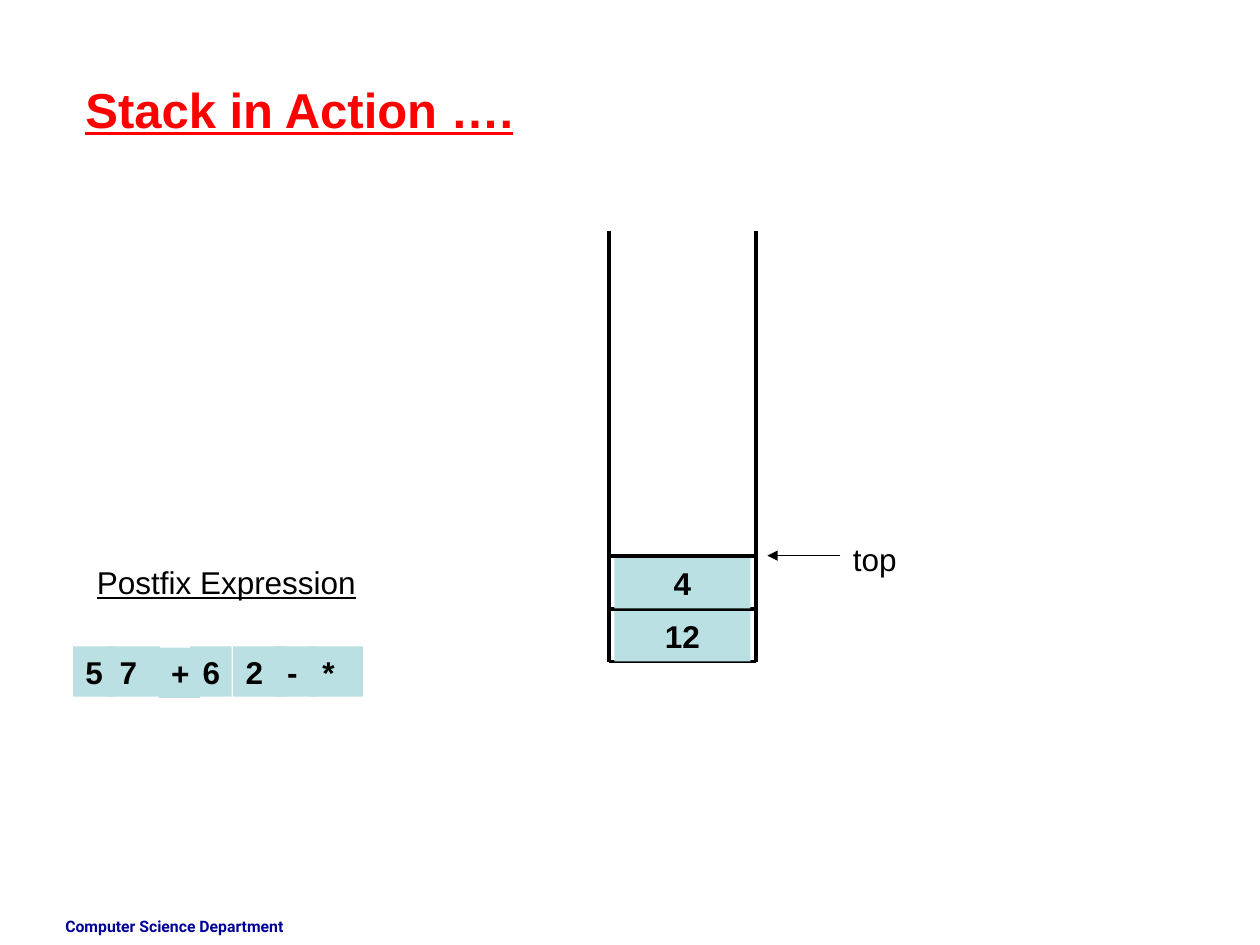
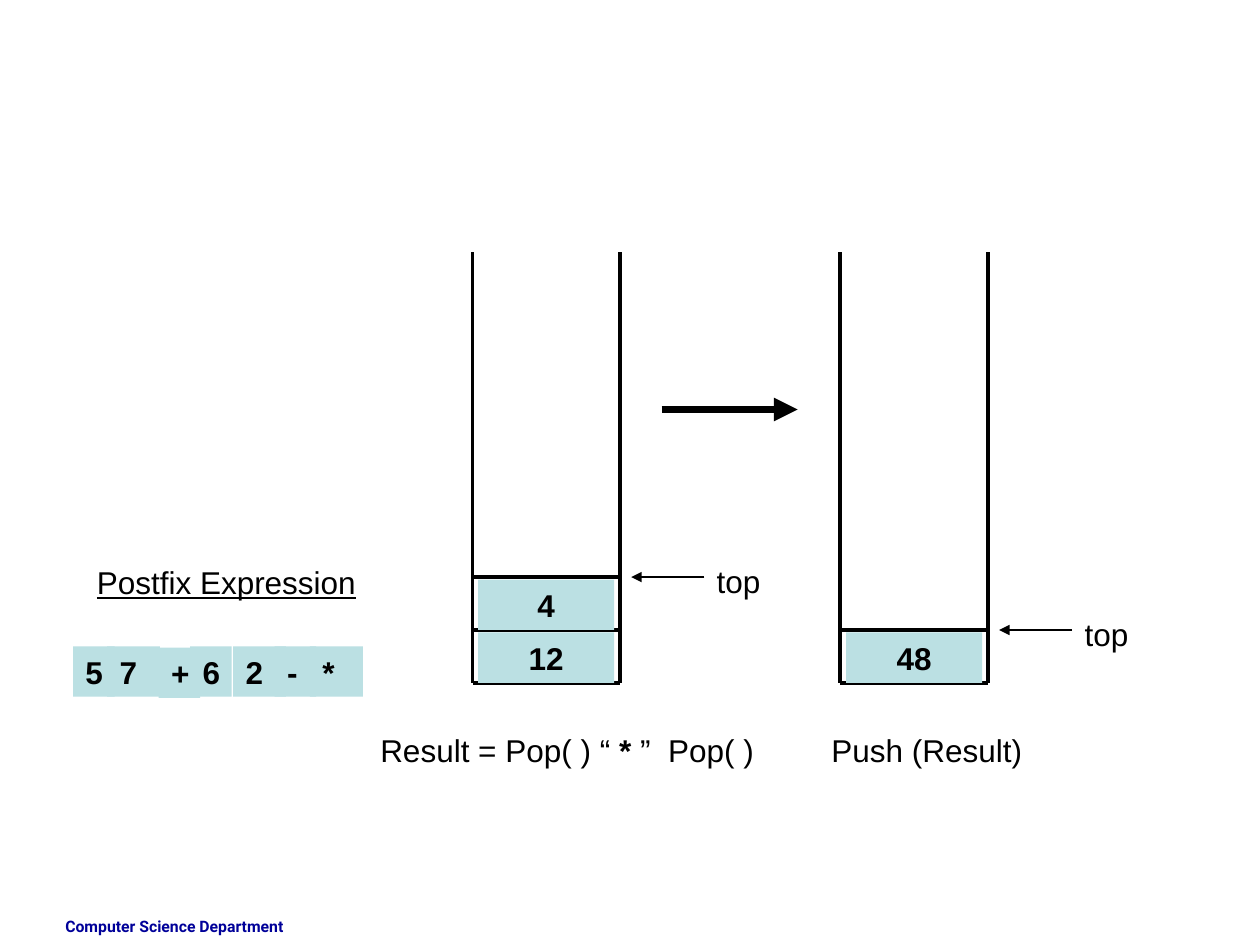
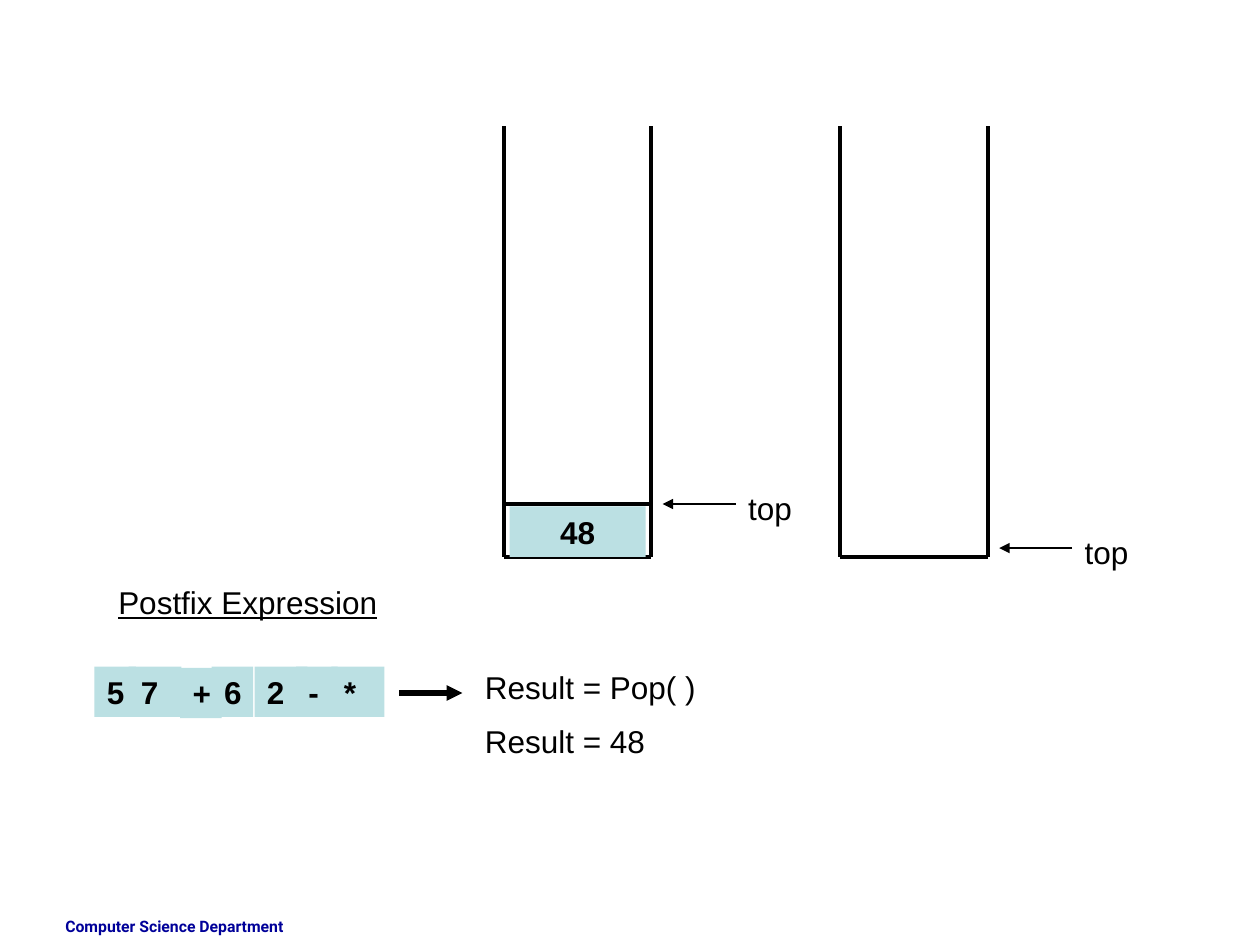
from lxml import etree
from pptx import Presentation
from pptx.dml.color import RGBColor
from pptx.enum.shapes import MSO_CONNECTOR as Connector, MSO_SHAPE as Shape
from pptx.enum.text import MSO_ANCHOR as Anchor, PP_ALIGN as Align
from pptx.oxml.ns import qn
from pptx.util import Inches, Pt

BLACK, RED, NAVY, CELL = "000000", "FF0000", "000099", "BBE0E3"
BODY = {"name": "Arial", "size": Pt(18), "bold": False}
BOLD = {**BODY, "bold": True}
UNDERLINED = {**BODY, "underline": True}
TITLE = {"name": "Arial", "size": Pt(28), "bold": True, "underline": True}
FOOTER = {"name": "Roboto", "size": Pt(9), "bold": True}

# Stack geometry in inches
STACK_WIDTH, STACK_HEIGHT, ROW = 1.17, 3.42, 0.42
CELL_WIDTH, TEXT_HEIGHT = 1.08, 0.4

# Each token with its left offset and width within the strip
TOKENS = [("5", 0, 0.33), ("7", 0.27, 0.42), ("+", 0.68, 0.33), ("6", 0.93, 0.33),
          ("2", 1.27, 0.42), ("-", 1.6, 0.33), ("*", 1.88, 0.42)]


def color(value):
    return RGBColor.from_string(value)


def write(box, spans, ink=BLACK, align=Align.LEFT):
    """Fill a box with one paragraph made of (text, style) spans."""
    frame = box.text_frame
    frame.word_wrap = True
    frame.vertical_anchor = Anchor.TOP
    para = frame.paragraphs[0]
    para.alignment = align
    for text, style in spans:
        span = para.add_run()
        span.text = text
        span.font.color.rgb = color(ink)
        for key, value in style.items():
            setattr(span.font, key, value)


def add_text(page, left, top, width, spans, height=TEXT_HEIGHT, ink=BLACK):
    box = page.shapes.add_textbox(*map(Inches, (left, top, width, height)))
    write(box, spans, ink)


def add_cell(page, left, top, width, text, align=Align.LEFT):
    box = page.shapes.add_shape(
        Shape.RECTANGLE, *map(Inches, (left, top, width, TEXT_HEIGHT)))
    box.shadow.inherit = False
    box.fill.solid()
    box.fill.fore_color.rgb = color(CELL)
    box.line.fill.background()
    write(box, [(text, BOLD)], align=align)


def add_line(page, start, end, weight=2.25, arrow=False):
    line = page.shapes.add_connector(Connector.STRAIGHT, *map(Inches, (*start, *end)))
    line.line.color.rgb = color(BLACK)
    line.line.width = Pt(weight)
    if arrow:
        etree.SubElement(line.line._get_or_add_ln(), qn("a:tailEnd"), type="triangle")
    etree.SubElement(line._element.spPr, qn("a:effectLst"))


def add_top_pointer(page, left, level):
    """Arrow with the word top, pointing left at the given level."""
    add_text(page, left, level - 0.17, 1.5, [("top", BODY)])
    add_line(page, (left, level), (left - 0.58, level), 0.75, arrow=True)


def add_stack(page, left, top, items, pointer_lift=0):
    """Open stack; items run from the bottom up."""
    right, bottom = left + STACK_WIDTH, top + STACK_HEIGHT
    for side in (left, right):
        add_line(page, (side, top), (side, bottom))
    add_line(page, (left, bottom), (right, bottom))
    level = bottom
    for item in items:
        level -= ROW
        add_line(page, (left, level), (right, level))
        add_cell(page, left + (STACK_WIDTH - CELL_WIDTH) / 2, level + 0.02,
                 CELL_WIDTH, item, Align.CENTER)
    add_top_pointer(page, right + 0.67, level - pointer_lift)


def add_expression(page, left, top):
    """Postfix heading with its strip of tokens."""
    add_text(page, left + 0.09, top, 2.75, [("Postfix Expression", UNDERLINED)])
    for token, offset, width in TOKENS:
        drop = 0.72 if token == "+" else 0.71
        add_cell(page, left + offset, top + drop, width, token)


def new_page(deck):
    page = deck.slides.add_slide(deck.slide_layouts[6])
    add_text(page, 0.42, 7.23, 2.33, [("Computer Science Department", FOOTER)],
             0.27, NAVY)
    return page


def build_two_operands(deck):
    page = new_page(deck)
    add_text(page, 0.58, 0.58, 6.58, [("Stack in Action ….", TITLE)], 0.57, RED)
    add_expression(page, 0.58, 4.42)
    add_stack(page, 4.83, 1.83, ["12", "4"])


def build_multiply(deck):
    page = new_page(deck)
    add_stack(page, 3.75, 2, ["12", "4"])
    add_text(page, 2.92, 5.75, 3.33,
             [("Result = Pop( ) “ ", BODY), ("*", BOLD), (" ”  Pop( )", BODY)])
    add_text(page, 6.5, 5.75, 2.75, [("Push (Result)", BODY)])
    add_line(page, (5.25, 3.25), (6.33, 3.25), 4.5, arrow=True)
    add_stack(page, 6.67, 2, ["48"])
    add_expression(page, 0.58, 4.42)


def build_result(deck):
    page = new_page(deck)
    add_stack(page, 4, 1, ["48"])
    add_stack(page, 6.67, 1, [], pointer_lift=0.07)
    add_expression(page, 0.75, 4.58)
    add_line(page, (3.17, 5.5), (3.67, 5.5), 3, arrow=True)
    for row, text in enumerate(["Result = Pop( )", "Result = 48"]):
        add_text(page, 3.75, 5.25 + row * 0.43, 3.33, [(text, BODY)])


def main():
    deck = Presentation()
    deck.slide_width, deck.slide_height = Inches(10), Inches(7.5)
    for build in (build_two_operands, build_multiply, build_result):
        build(deck)
    deck.save("out.pptx")


if __name__ == "__main__":
    main()
